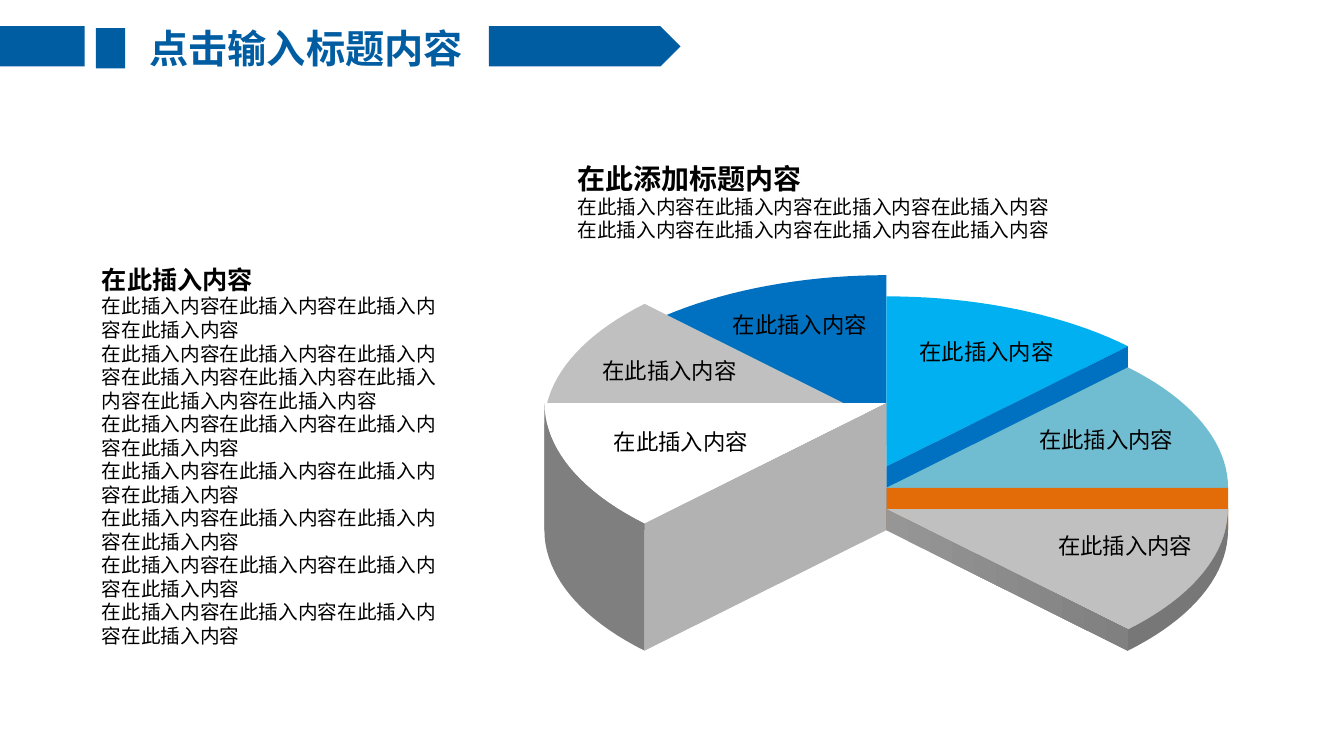
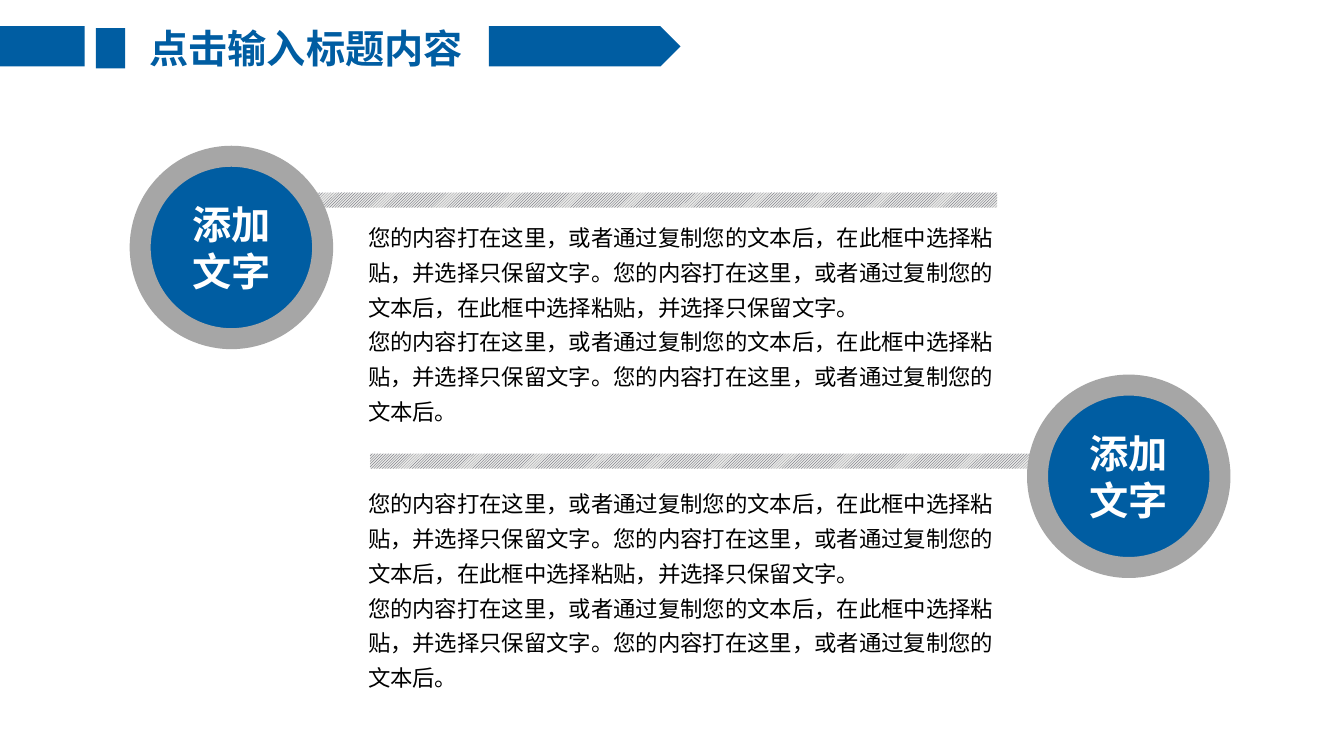
from dataclasses import dataclass
from math import cos, radians, sin

from lxml import etree
from pptx import Presentation
from pptx.dml.color import RGBColor
from pptx.enum.dml import MSO_PATTERN
from pptx.enum.shapes import MSO_SHAPE
from pptx.enum.text import MSO_ANCHOR, MSO_AUTO_SIZE, PP_ALIGN
from pptx.oxml.ns import qn
from pptx.util import Inches, Pt

RECT = MSO_SHAPE.RECTANGLE
OVAL = MSO_SHAPE.OVAL
ARROW = MSO_SHAPE.PENTAGON
HATCH = MSO_PATTERN.LIGHT_UPWARD_DIAGONAL
LEFT, CENTER = PP_ALIGN.LEFT, PP_ALIGN.CENTER
TOP, MIDDLE = MSO_ANCHOR.TOP, MSO_ANCHOR.MIDDLE
FIT, FIXED = MSO_AUTO_SIZE.SHAPE_TO_FIT_TEXT, MSO_AUTO_SIZE.NONE


@dataclass(frozen=True)
class Theme:
    face: str = "Noto Sans CJK SC"
    brand: str = "005DA2"
    ink: str = "000000"
    white: str = "FFFFFF"
    ring: str = "A6A6A6"
    hatch: str = "414455"
    pale: str = "E8E8E6"
    blue: str = "0070C0"
    sky: str = "00B0F0"
    teal: str = "70BDD2"
    orange: str = "E36C09"
    silver: str = "C0C0C0"
    light: str = "DDDDDD"
    mid: str = "B2B2B2"
    dark: str = "7F7F7F"
    deep: str = "777777"
    shade: tuple[str, str] = ("969696", "808080")
    title: int = 28
    head: int = 20
    sub: int = 18
    text: int = 16
    small: int = 14


@dataclass(frozen=True)
class Box:
    left: float
    top: float
    width: float
    height: float

    def args(self) -> tuple:
        return tuple(Inches(n) for n in (self.left, self.top, self.width, self.height))


@dataclass(frozen=True)
class Line:
    text: str
    size: int
    bold: bool = False


@dataclass(frozen=True)
class Slice:
    start: int
    cut: int
    rise: float
    top: str
    wall: tuple[str, ...]
    rim: str = ""


@dataclass(frozen=True)
class Label:
    box: Box
    align: int = LEFT


@dataclass(frozen=True)
class Topic:
    disc: Box
    bar: Box
    body: Box


T = Theme()
HEAD = "点击输入标题内容"
ITEM = "在此插入内容"
BULK = "您的内容打在这里，或者通过复制您的文本后，在此框中选择粘贴，并选择只保留文字。"
TAIL = "您的内容打在这里，或者通过复制您的文本后。"

MID_X, BASE_Y = 8.79, 5.26
WIDE, TALL = 3.39, 1.69
SWEEP, STEPS = 45, 20

SLICES = [
    Slice(90, 135, 0.84, T.blue, (T.light,)),
    Slice(45, 45, 0.63, T.sky, (T.blue,)),
    Slice(135, 180, 1.05, T.silver, T.shade),
    Slice(0, 0, 0.42, T.teal, (T.orange,)),
    Slice(180, 225, 1.26, T.white, (T.mid,), T.dark),
    Slice(315, 315, 0.21, T.silver, T.shade, T.deep),
]
LABELS = [
    Label(Box(10.32, 5.23, 1.68, 0.37), CENTER),
    Label(Box(10.21, 4.18, 1.57, 0.37)),
    Label(Box(5.99, 4.2, 1.71, 0.37)),
    Label(Box(7.17, 3.04, 1.58, 0.37)),
    Label(Box(5.75, 3.49, 1.78, 0.37), CENTER),
    Label(Box(8.98, 3.31, 1.61, 0.37), CENTER),
]
BANDS = [
    (ARROW, Box(4.85, 0.26, 1.9, 0.4)),
    (RECT, Box(0, 0.26, 0.84, 0.4)),
    (RECT, Box(0.95, 0.28, 0.29, 0.4)),
]
TOPICS = [
    Topic(Box(1.39, 1.55, 1.81, 1.81), Box(3.04, 1.91, 6.85, 0.15), Box(3.55, 2.09, 6.46, 2.2)),
    Topic(Box(10.29, 3.82, 1.81, 1.81), Box(3.67, 4.5, 6.85, 0.15), Box(3.55, 4.73, 6.46, 2.2)),
]


def tint(code: str) -> RGBColor:
    return RGBColor.from_string(code)


def paint(shape, *codes: str) -> None:
    shape.shadow.inherit = False
    shape.line.fill.background()
    if len(codes) == 1:
        shape.fill.solid()
        shape.fill.fore_color.rgb = tint(codes[0])
        return
    shape.fill.gradient()
    shape.fill.gradient_angle = 0
    for stop, code in zip(shape.fill.gradient_stops, codes):
        stop.color.rgb = tint(code)


def write(shape, lines: list[Line], color: str = T.ink, align: int = LEFT,
          space: float = 1.0, anchor: int = TOP, size: int = FIT) -> None:
    frame = shape.text_frame
    frame.text = "\n".join(line.text for line in lines)
    frame.word_wrap = True
    frame.auto_size = size
    frame.vertical_anchor = anchor
    for part, line in zip(frame.paragraphs, lines):
        if shape.is_placeholder:
            props = part._p.get_or_add_pPr()
            props.set("marL", "0")
            props.set("indent", "0")
            etree.SubElement(props, qn("a:buNone"))
            part.space_before = Pt(0)
        part.alignment = align
        part.line_spacing = space
        for run in part.runs:
            font = run.font
            font.name = T.face
            font.size = Pt(line.size)
            font.bold = line.bold
            font.color.rgb = tint(color)
            east = etree.SubElement(run._r.get_or_add_rPr(), qn("a:ea"))
            east.set("typeface", T.face)


def place(shape, box: Box) -> None:
    shape.left, shape.top, shape.width, shape.height = box.args()


def start(deck, index: int):
    slide = deck.slides.add_slide(deck.slide_layouts[index])
    place(slide.shapes.title, Box(1.24, 0.19, 3.59, 0.57))
    write(slide.shapes.title, [Line(HEAD, T.title, True)], T.brand, CENTER, size=FIXED)
    for kind, box in BANDS:
        paint(slide.shapes.add_shape(kind, *box.args()), T.brand)
    return slide


def trace(slide, points: list[tuple[float, float]], *codes: str):
    spots = [(Inches(x), Inches(y)) for x, y in points]
    pen = slide.shapes.build_freeform(*spots[0], scale=1.0)
    pen.add_line_segments(spots[1:], close=True)
    shape = pen.convert_to_shape()
    paint(shape, *codes)
    return shape


def edge(angle: float, y: float) -> tuple[float, float]:
    turn = radians(angle)
    return MID_X + WIDE * cos(turn), y - TALL * sin(turn)


def drop(points: list[tuple[float, float]], rise: float) -> list[tuple[float, float]]:
    return points + [(x, y + rise) for x, y in reversed(points)]


def carve(slide, item: Slice) -> None:
    y = BASE_Y - item.rise
    hub = (MID_X, y)
    arc = [edge(item.start + SWEEP * n / STEPS, y) for n in range(STEPS + 1)]
    parts = [trace(slide, [hub, *arc], item.top)]
    if item.rim:
        parts.append(trace(slide, drop(arc, item.rise), item.rim))
    rim = edge(item.cut, y)
    if item.cut % 180:
        parts.append(trace(slide, drop([hub, rim], item.rise), *item.wall))
    else:
        box = Box(min(MID_X, rim[0]), y, WIDE, item.rise)
        wall = slide.shapes.add_shape(RECT, *box.args())
        paint(wall, *item.wall)
        parts.append(wall)
    slide.shapes.add_group_shape(parts)


def draw_pie(deck) -> None:
    slide = start(deck, 1)
    for item in SLICES:
        carve(slide, item)
    for label in LABELS:
        text = slide.shapes.add_textbox(*label.box.args())
        write(text, [Line(ITEM, T.text)], align=label.align)
    intro = slide.shapes.add_textbox(*Box(5.63, 1.55, 4.9, 0.91).args())
    row = Line(ITEM * 4, T.small)
    write(intro, [Line("在此添加标题内容", T.head, True), row, row])
    body = slide.placeholders[1]
    place(body, Box(0.91, 2.57, 3.7, 4.17))
    rows = [Line(ITEM * count, T.small) for count in (4, 8, 4, 4, 4, 4, 4)]
    write(body, [Line(ITEM, T.sub, True), *rows], size=FIXED)


def draw_topics(deck) -> None:
    slide = start(deck, 3)
    for index, topic in enumerate(TOPICS, 1):
        bar = slide.shapes.add_shape(RECT, *topic.bar.args())
        paint(bar, T.pale)
        bar.fill.patterned()
        bar.fill.pattern = HATCH
        bar.fill.fore_color.rgb = tint(T.hatch)
        bar.fill.back_color.rgb = tint(T.pale)
        disc = slide.shapes.add_shape(OVAL, *topic.disc.args())
        paint(disc, T.brand)
        disc.line.color.rgb = tint(T.ring)
        disc.line.width = Pt(15)
        write(disc, [Line("添加文字", T.title, True)], T.white, CENTER, anchor=MIDDLE, size=FIXED)
        body = slide.placeholders[index]
        place(body, topic.body)
        write(body, [Line(BULK * 2, T.text), Line(BULK + TAIL, T.text)], space=1.3, size=FIXED)


def main() -> None:
    deck = Presentation()
    deck.slide_width, deck.slide_height = Inches(13.33), Inches(7.5)
    draw_pie(deck)
    draw_topics(deck)
    deck.save("out.pptx")


if __name__ == "__main__":
    main()
